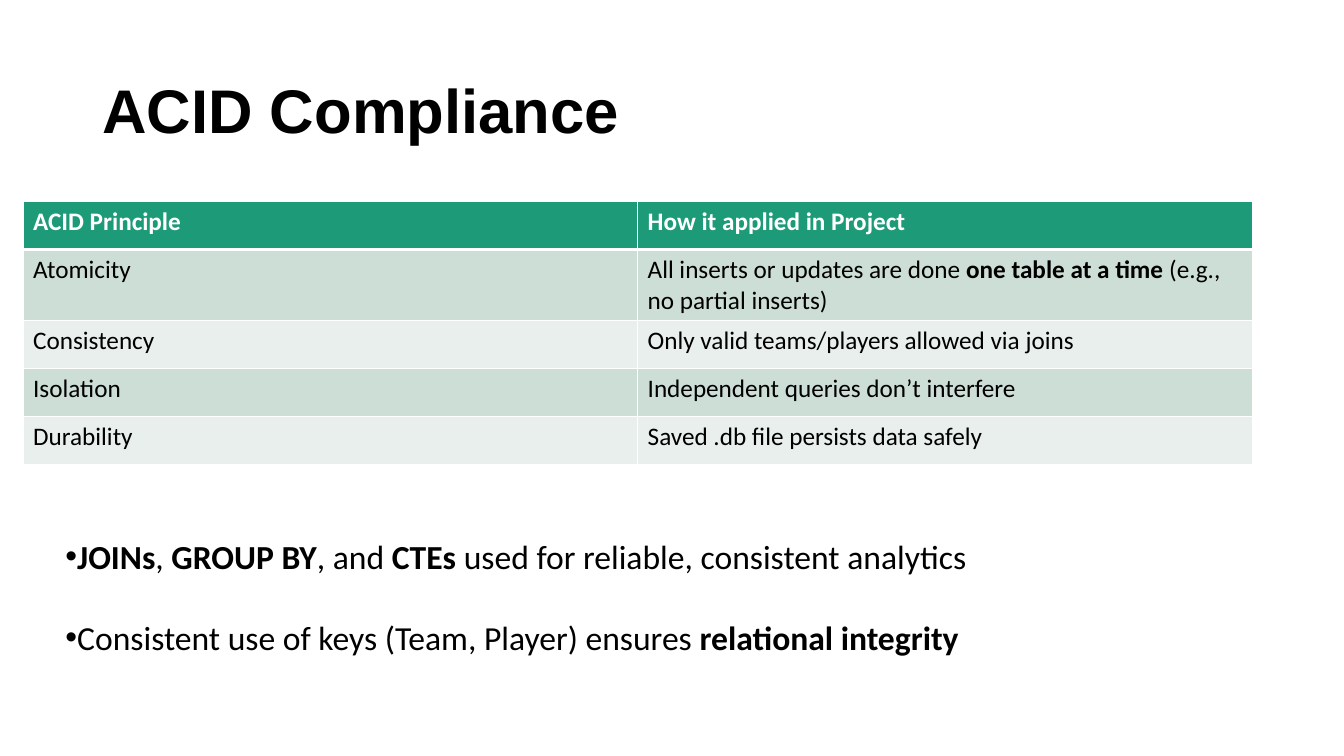
from dataclasses import dataclass
from typing import Any

from lxml.etree import SubElement
from pptx import Presentation
from pptx.dml.color import RGBColor
from pptx.enum.text import MSO_ANCHOR
from pptx.oxml.ns import qn
from pptx.util import Inches, Pt


@dataclass(frozen=True)
class Theme:
    heading_font: str = "Arial"
    body_font: str = "Calibri"
    ink: str = "000000"
    paper: str = "FFFFFF"
    header: str = "1D9A78"
    bands: tuple[str, str] = ("CDDED6", "E8EFEC")
    title_size: int = 44
    bullet_size: int = 24
    table_size: int = 18
    bullet_gap: int = 29
    rule: int = 1
    header_rule: int = 3


@dataclass(frozen=True)
class Span:
    text: str
    bold: bool = False


@dataclass(frozen=True)
class Area:
    """Left, top, width and height as percentages of the slide."""
    left: float
    top: float
    width: float
    height: float

    def place(self) -> tuple[int, int, int, int]:
        return (int(SLIDE_WIDTH * self.left / 100), int(SLIDE_HEIGHT * self.top / 100),
                int(SLIDE_WIDTH * self.width / 100), int(SLIDE_HEIGHT * self.height / 100))


THEME = Theme()
SLIDE_WIDTH, SLIDE_HEIGHT = Inches(13.33), Inches(7.5)
TITLE_AREA = Area(6.88, 5.33, 86.25, 19.33)
TABLE_AREA = Area(1.72, 26.67, 91.45, 31.75)
BULLET_AREA = Area(4.13, 70.27, 69.6, 21.6)

HEADINGS = ("ACID Principle", "How it applied in Project")
PRINCIPLES = (
    ("Atomicity", (Span("All inserts or updates are done "),
                   Span("one table at a time ", True),
                   Span("(e.g., no partial inserts)"))),
    ("Consistency", (Span("Only valid teams/players allowed via joins"),)),
    ("Isolation", (Span("Independent queries don’t interfere"),)),
    ("Durability", (Span("Saved .db file persists data safely"),)),
)
BULLETS = (
    (Span("JOINs", True), Span(", "), Span("GROUP BY", True), Span(", and "),
     Span("CTEs ", True), Span("used for reliable, consistent analytics")),
    (Span("Consistent use of keys (Team, Player) ensures "),
     Span("relational integrity", True)),
)


def write(para: Any, spans: tuple[Span, ...], font: str, size: int, color: str) -> None:
    for span in spans:
        run = para.add_run()
        run.text = span.text
        formats = {"name": font, "size": Pt(size), "bold": span.bold}
        for name, value in formats.items():
            setattr(run.font, name, value)
        run.font.color.rgb = RGBColor.from_string(color)


def add_box(page: Any, area: Area, anchor: MSO_ANCHOR) -> Any:
    frame = page.shapes.add_textbox(*area.place()).text_frame
    for name, value in {"word_wrap": True, "vertical_anchor": anchor}.items():
        setattr(frame, name, value)
    return frame


def add_bullet(para: Any) -> None:
    properties = para._p.get_or_add_pPr()
    SubElement(properties, qn("a:buFont")).set("typeface", "Arial")
    SubElement(properties, qn("a:buChar")).set("char", "•")


def style_cell(cell: Any, fill: str, top: int, bottom: int) -> None:
    properties = cell._tc.get_or_add_tcPr()
    widths = {"a:lnL": THEME.rule, "a:lnR": THEME.rule, "a:lnT": top, "a:lnB": bottom}
    for side, width in widths.items():
        line = SubElement(properties, qn(side), w=str(Pt(width)))
        SubElement(SubElement(line, qn("a:solidFill")), qn("a:srgbClr"), val=THEME.paper)
    cell.fill.solid()
    cell.fill.fore_color.rgb = RGBColor.from_string(fill)


def add_principles(page: Any) -> None:
    rows = [tuple((Span(text, True),) for text in HEADINGS)]
    rows += [((Span(name),), detail) for name, detail in PRINCIPLES]
    table = page.shapes.add_table(len(rows), len(HEADINGS), *TABLE_AREA.place()).table
    for row, contents in enumerate(rows):
        is_header = row == 0
        fill = THEME.header if is_header else THEME.bands[(row - 1) % 2]
        color = THEME.paper if is_header else THEME.ink
        top = THEME.header_rule if row == 1 else THEME.rule
        bottom = THEME.header_rule if is_header else THEME.rule
        for column, spans in enumerate(contents):
            cell = table.cell(row, column)
            style_cell(cell, fill, top, bottom)
            write(cell.text_frame.paragraphs[0], spans,
                  THEME.body_font, THEME.table_size, color)


def main() -> None:
    deck = Presentation()
    deck.slide_width, deck.slide_height = SLIDE_WIDTH, SLIDE_HEIGHT
    page = deck.slides.add_slide(deck.slide_layouts[6])

    # Title
    para = add_box(page, TITLE_AREA, MSO_ANCHOR.MIDDLE).paragraphs[0]
    para.line_spacing = 0.9
    write(para, (Span("ACID Compliance", True),),
          THEME.heading_font, THEME.title_size, THEME.ink)

    # Table of principles
    add_principles(page)

    # Closing bullets
    frame = add_box(page, BULLET_AREA, MSO_ANCHOR.TOP)
    for index, spans in enumerate(BULLETS):
        para = frame.add_paragraph() if index else frame.paragraphs[0]
        para.space_after = Pt(THEME.bullet_gap)
        add_bullet(para)
        write(para, spans, THEME.body_font, THEME.bullet_size, THEME.ink)

    deck.save("out.pptx")


if __name__ == "__main__":
    main()
